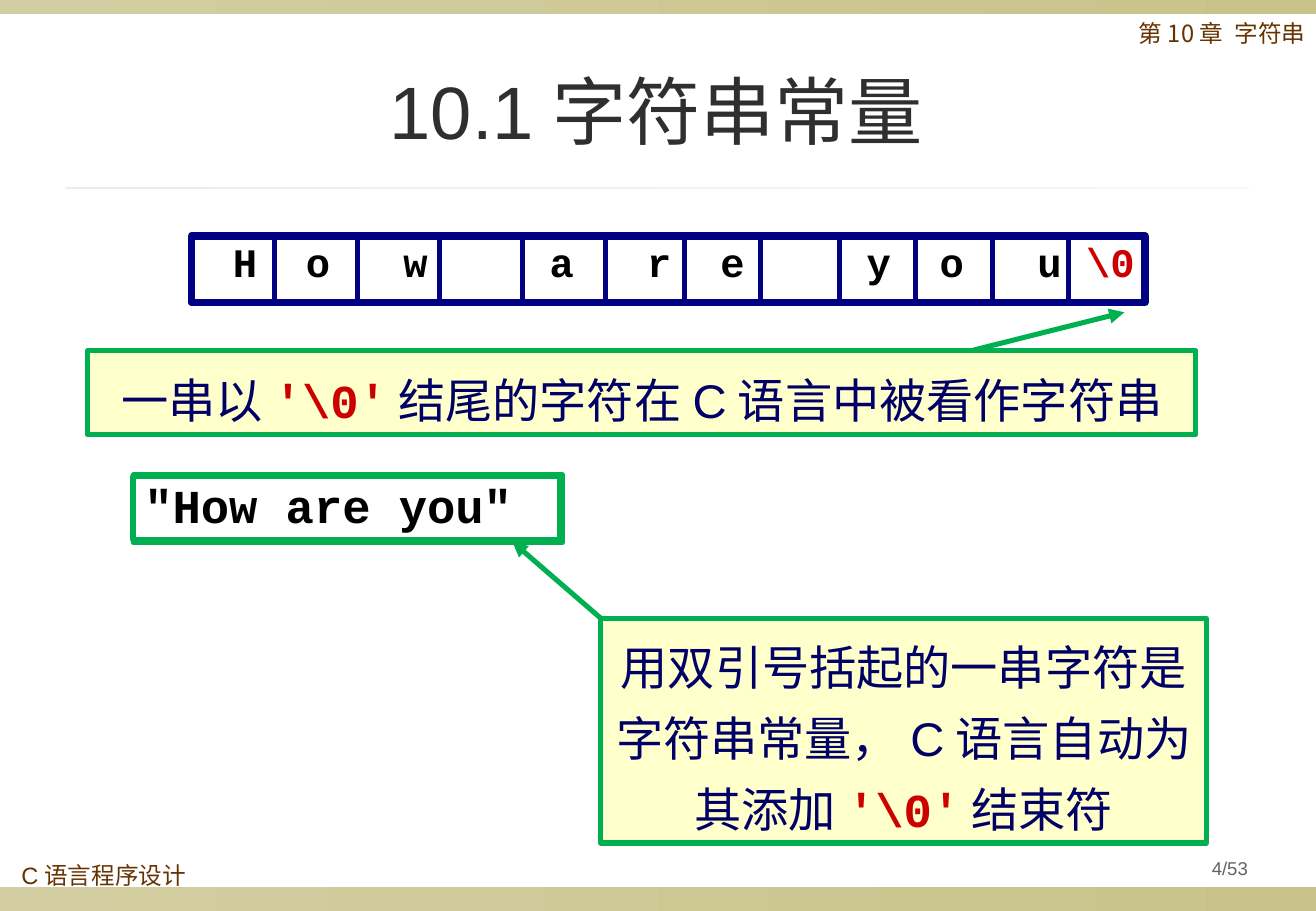
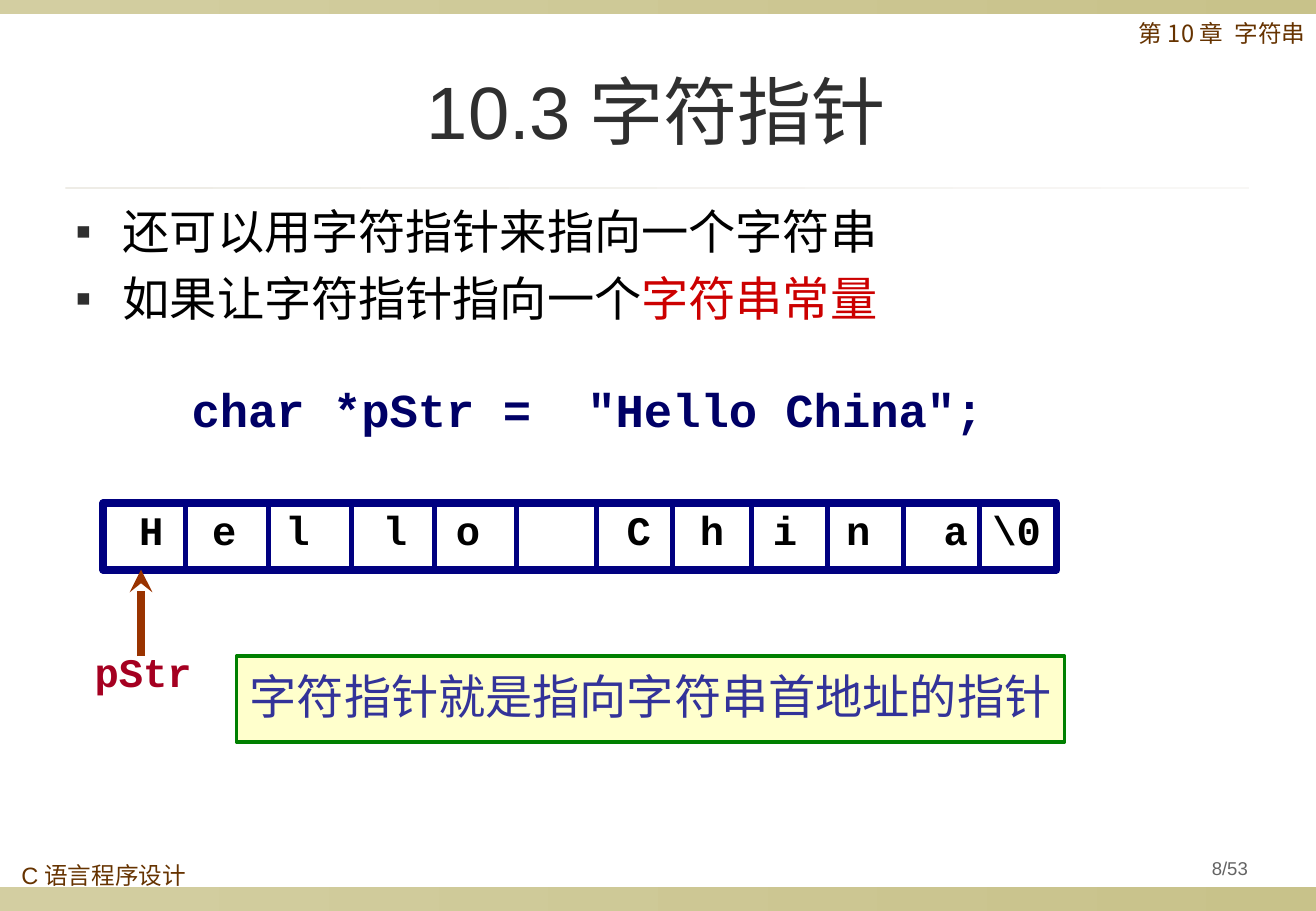
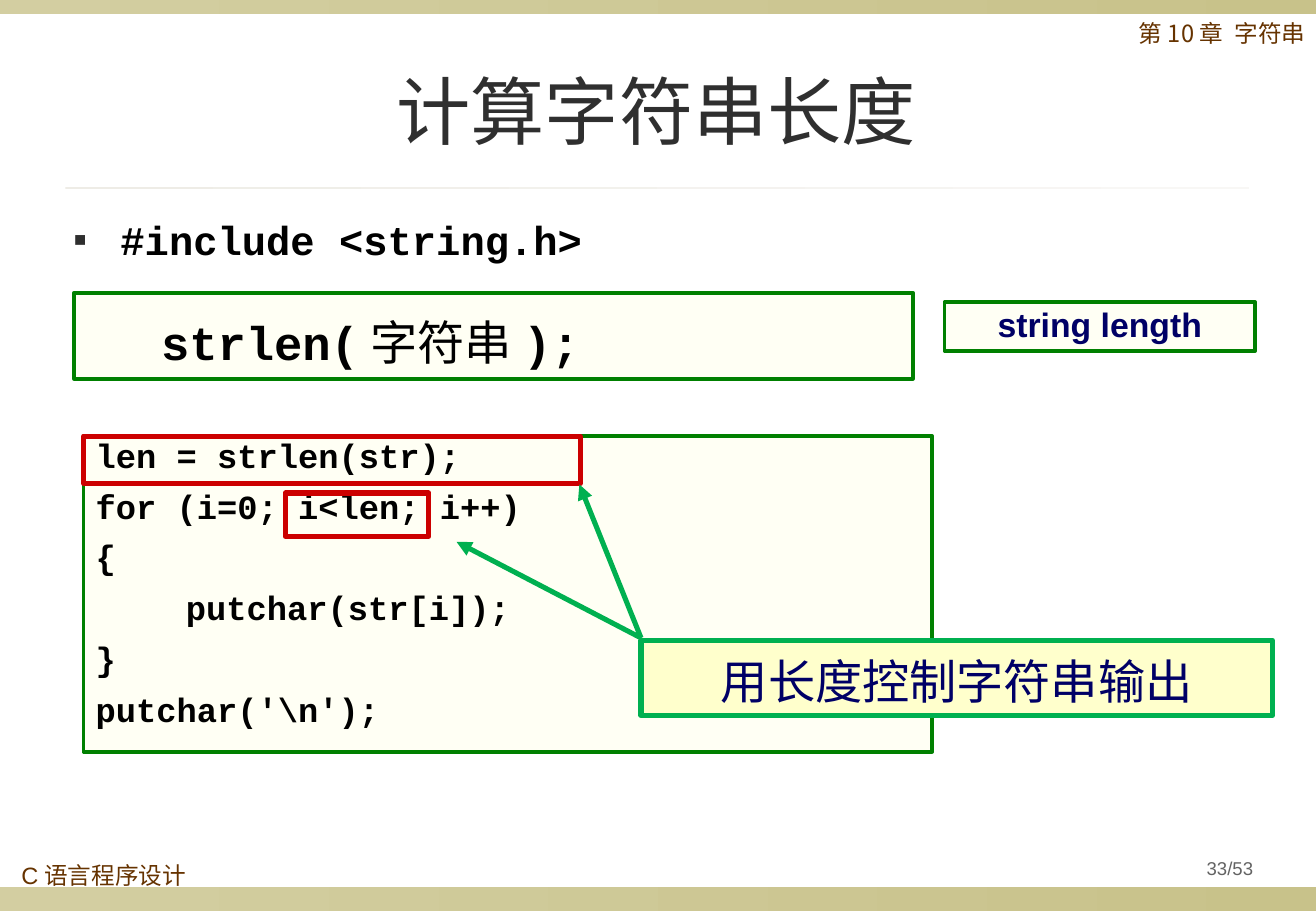
from lxml import etree
from pptx import Presentation
from pptx import util as u
from pptx.dml.color import RGBColor
from pptx.enum import shapes, text
from pptx.oxml.ns import qn

COLOURS = {
    "band_left": "D3CEA1", "band_right": "C8C28A",
    "rule_left": "EEECE6", "rule_right": "F8F7F5",
    "brown": "663300", "title": "2F2F2F", "grey": "636363",
    "black": "000000", "navy": "000066", "strip": "000080",
    "indigo": "333399", "red": "CC0000", "crimson": "A50021",
    "rust": "993300", "green": "00B050", "dark_green": "008000",
    "yellow": "FFFFCC", "ivory": "FFFFF4",
}
CJK, MONO = "Noto Sans CJK SC", "Courier New"
# Style: font name, size, colour, bold
STYLES = {
    "title": ("Arial", 44, "title", False),
    "chapter": (CJK, 14, "brown", False),
    "course": ("Arial", 14, "brown", False),
    "number": ("Arial", 11, "grey", False),
    "note": (CJK, 28, "navy", False),
    "note_latin": ("Arial", 28, "navy", False),
    "note_code": (MONO, 28, "red", True),
    "note_indigo": (CJK, 28, "indigo", False),
    "body": ("Times New Roman", 28, "black", False),
    "body_red": ("Times New Roman", 28, "red", False),
    "code_28": (MONO, 28, "black", True),
    "code_28_plain": (MONO, 28, "black", False),
    "code_navy": (MONO, 28, "navy", True),
    "code_24": (MONO, 24, "black", True),
    "code_24_red": (MONO, 24, "red", True),
    "pointer": (MONO, 24, "crimson", True),
    "code_20": (MONO, 20, "black", True),
    "label": ("Arial", 20, "navy", True),
}
CENTER = text.PP_ALIGN.CENTER
TIGHT = {"line_spacing": 0.9, "space_after": u.Pt(5.9)}
NOTE = {"alignment": CENTER, "line_spacing": 1.25, "space_after": u.Pt(5.9)}


def rgb(name):
    return RGBColor.from_string(COLOURS[name])


def add_box(page, at, paras=(), fill=None, line=None, width=3, middle=False,
            inset=0.25, wrap=True, indent=None, bullet=False, tabs=(), form=TIGHT):
    """Add a box at (left, top, width, height) in cm; a paragraph lists (text, style)."""
    place = [u.Cm(length) for length in at]
    if fill or line:
        box = page.shapes.add_shape(shapes.MSO_SHAPE.RECTANGLE, *place)
        box.shadow.inherit = False
        if isinstance(fill, tuple):
            box.fill.gradient()
            box.fill.gradient_angle = 0
            for stop, colour in zip(box.fill.gradient_stops, fill):
                stop.color.rgb = rgb(colour)
        elif fill:
            box.fill.solid()
            box.fill.fore_color.rgb = rgb(fill)
        else:
            box.fill.background()
        if line:
            box.line.color.rgb = rgb(line)
            box.line.width = u.Pt(width)
        else:
            box.line.fill.background()
    else:
        box = page.shapes.add_textbox(*place)
    frame = box.text_frame
    frame.word_wrap = wrap
    frame.vertical_anchor = text.MSO_ANCHOR.MIDDLE if middle else text.MSO_ANCHOR.TOP
    frame.margin_left = frame.margin_right = u.Cm(inset)
    frame.margin_top = frame.margin_bottom = u.Cm(0.13)
    for index, spans in enumerate(paras):
        para = frame.paragraphs[0] if index == 0 else frame.add_paragraph()
        props = para._p.get_or_add_pPr()
        if indent:
            for key, length in zip(("marL", "indent"), indent):
                props.set(key, str(u.Cm(length)))
        if bullet:
            colour = etree.SubElement(props, qn("a:buClr"))
            etree.SubElement(colour, qn("a:srgbClr"), val=COLOURS["title"])
            etree.SubElement(props, qn("a:buSzPct"), val="50000")
            etree.SubElement(props, qn("a:buFont"), typeface="Arial")
            etree.SubElement(props, qn("a:buChar"), char="■")
        if tabs:
            stops = etree.SubElement(props, qn("a:tabLst"))
            for stop in tabs:
                etree.SubElement(stops, qn("a:tab"), pos=str(u.Cm(stop)), algn="l")
        for key, value in {"alignment": text.PP_ALIGN.LEFT, **form}.items():
            if index or key != "space_before":
                setattr(para, key, value)
        for words, style in spans:
            span = para.add_run()
            span.text = words
            name, size, colour, bold = STYLES[style]
            for key, value in {"name": name, "size": u.Pt(size), "bold": bold}.items():
                setattr(span.font, key, value)
            span.font.color.rgb = rgb(colour)
            etree.SubElement(span._r.get_or_add_rPr(), qn("a:ea"), typeface=CJK)


def add_line(page, start, end, colour, width=3, head=None):
    ends = [u.Cm(length) for length in (*start, *end)]
    line = page.shapes.add_connector(shapes.MSO_CONNECTOR.STRAIGHT, *ends)
    line.line.color.rgb = rgb(colour)
    line.line.width = u.Pt(width)
    if head:
        etree.SubElement(line.line._get_or_add_ln(), qn("a:tailEnd"), type=head)
    etree.SubElement(line._element.spPr, qn("a:effectLst"))


deck = Presentation()
deck.slide_width, deck.slide_height = u.Cm(27.53), u.Cm(19.05)

# Shared frame
pages = []
for title, number in (("10.1字符串常量", 4), ("10.3字符指针", 8), ("计算字符串长度", 33)):
    page = deck.slides.add_slide(deck.slide_layouts[6])
    pages.append(page)
    for top, height in ((18.54, 0.51), (0, 0.3)):
        add_box(page, (0, top, 27.53, height), fill=("band_left", "band_right"))
    add_box(page, (1.37, 3.91, 24.77, 0.05), fill=("rule_left", "rule_right"))
    add_box(page, (23.57, 0.33, 4.39, 0.99), [[("第10章\t字符串", "chapter")]],
            tabs=[2.01], form={"line_spacing": 0.9})
    add_box(page, (0.2, 17.93, 3.96, 0.81), [[("C语言程序设计", "course")]],
            form={"line_spacing": 0.9})
    add_box(page, (1.35, 0.71, 24.77, 3.18), [[(title, "title")]], middle=True,
            form={"alignment": CENTER})
    add_box(page, (24.36, 17.78, 2.74, 0.79), [[(f"{number}/53", "number")]],
            middle=True, inset=0.13, form={**TIGHT, "alignment": CENTER})
constant_page, pointer_page, length_page = pages

# Memory strips: letters stand at columns one character wide
DIVIDERS = (1.73, 3.46, 5.19, 6.92, 8.65, 10.31, 11.9, 13.56, 15.15, 16.75, 18.34)
COLUMN = 0.51
strips = (
    (constant_page, 4.01, 4.93, 0.61, "Howareyou", (3, 7, 13, 17, 20, 26, 29, 33, 35),
     "code_24_red"),
    (pointer_page, 2.16, 10.52, 0.5, "HelloChina", (3, 6, 10, 13, 20, 23, 26, 29, 33, 35),
     "code_24"),
)
for page, left, top, shift, letters, columns, end_style in strips:
    add_box(page, (left, top, 19.94, 1.4), line="strip", width=4.5)
    for offset in DIVIDERS:
        add_line(page, (left + offset, top), (left + offset, top + 1.4), "strip")
    add_box(page, (left + shift, top + 0.02, 20.2, 1.17),
            [[("\t".join(letters) + "\t", "code_24"), ("\\0", end_style)]],
            tabs=[COLUMN * column for column in columns])

# String constants
add_line(constant_page, (12.57, 12.93), (10.72, 11.33), "green", head="triangle")
add_box(constant_page, (12.57, 12.93, 12.67, 4.7),
        [[("用双引号括起的一串字符是字符串常量，", "note"), ("C", "note_latin"),
          ("语言自动为其添加", "note"), ("'\\0'", "note_code"), ("结束符", "note")]],
        fill="yellow", line="green", form=NOTE)
add_box(constant_page, (2.79, 9.93, 8.97, 1.42), line="green")
add_box(constant_page, (2.77, 9.96, 8.94, 1.32), [[('"How are you"', "code_28")]],
        line="green")
add_line(constant_page, (20.37, 7.32), (23.52, 6.53), "green", head="triangle")
add_box(constant_page, (1.83, 7.34, 23.19, 1.75),
        [[("一串以", "note"), ("'\\0'", "note_code"), ("结尾的字符在", "note"),
          ("C", "note_latin"), ("语言中被看作字符串", "note")]],
        fill="yellow", line="green", form=NOTE)

# Character pointers
add_box(pointer_page, (1.35, 4.11, 21.82, 3),
        [[("还可以用字符指针来指向一个字符串", "body")],
         [("如果让字符指针指向一个", "body"), ("字符串常量", "body_red")]],
        indent=(0.97, -0.97), bullet=True,
        form={"line_spacing": 1.0, "space_before": u.Pt(6)})
add_box(pointer_page, (4.95, 13.72, 17.32, 1.8),
        [[("字符指针就是指向字符串首地址的指针", "note_indigo")]],
        fill="yellow", line="dark_green", width=2.25, middle=True, wrap=False,
        form={**TIGHT, "alignment": CENTER})
for left, width, code in ((3.76, 8.51, "char *pStr ="), (12.04, 10.11, '"Hello China";')):
    add_box(pointer_page, (left, 7.95, width, 1.32), [[(code, "code_navy")]])
add_line(pointer_page, (2.95, 13.72), (2.95, 11.91), "rust", 4.5, "stealth")
add_box(pointer_page, (1.73, 13.51, 2.82, 1.17), [[("pStr", "pointer")]])

# String length
add_box(length_page, (1.3, 4.32, 25.45, 1.6), [[("#include <string.h>", "code_24")]],
        indent=(0.97, -0.97), bullet=True, form={"line_spacing": 1.05})
add_box(length_page, (1.55, 6.12, 17.55, 1.8),
        [[("strlen(", "code_28"), ("字符串", "code_28_plain"), (");", "code_28")]],
        fill="ivory", line="dark_green", width=2.25, indent=(1.57, 0),
        form={"line_spacing": 1.25})
add_box(length_page, (19.76, 6.32, 6.5, 1.02), [[("string length", "label")]],
        fill="ivory", line="dark_green", width=2.25, form={**TIGHT, "alignment": CENTER})
LOOP_CODE = """len = strlen(str);
for (i=0; i<len; i++)
{
\t  putchar(str[i]);
}
putchar('\\n');"""
add_box(length_page, (1.75, 9.12, 17.75, 6.6),
        [[(row, "code_20")] for row in LOOP_CODE.splitlines()],
        fill="ivory", line="dark_green", width=2.25, indent=(1.04, -1.04),
        form={"line_spacing": 0.8, "space_before": u.Pt(5), "space_after": u.Pt(5.9)})
for frame_place in ((5.97, 10.31, 3, 0.91), (1.75, 9.12, 10.39, 0.99)):
    add_box(length_page, frame_place, line="red")
add_box(length_page, (13.41, 13.39, 13.21, 1.57), [[("用长度控制字符串输出", "note")]],
        fill="yellow", line="green",
        form={"alignment": CENTER, "line_spacing": 1.1, "space_after": u.Pt(6)})
for target in ((9.55, 11.33), (12.12, 10.13)):
    add_line(length_page, (13.41, 13.34), target, "green", head="triangle")

deck.save("out.pptx")
